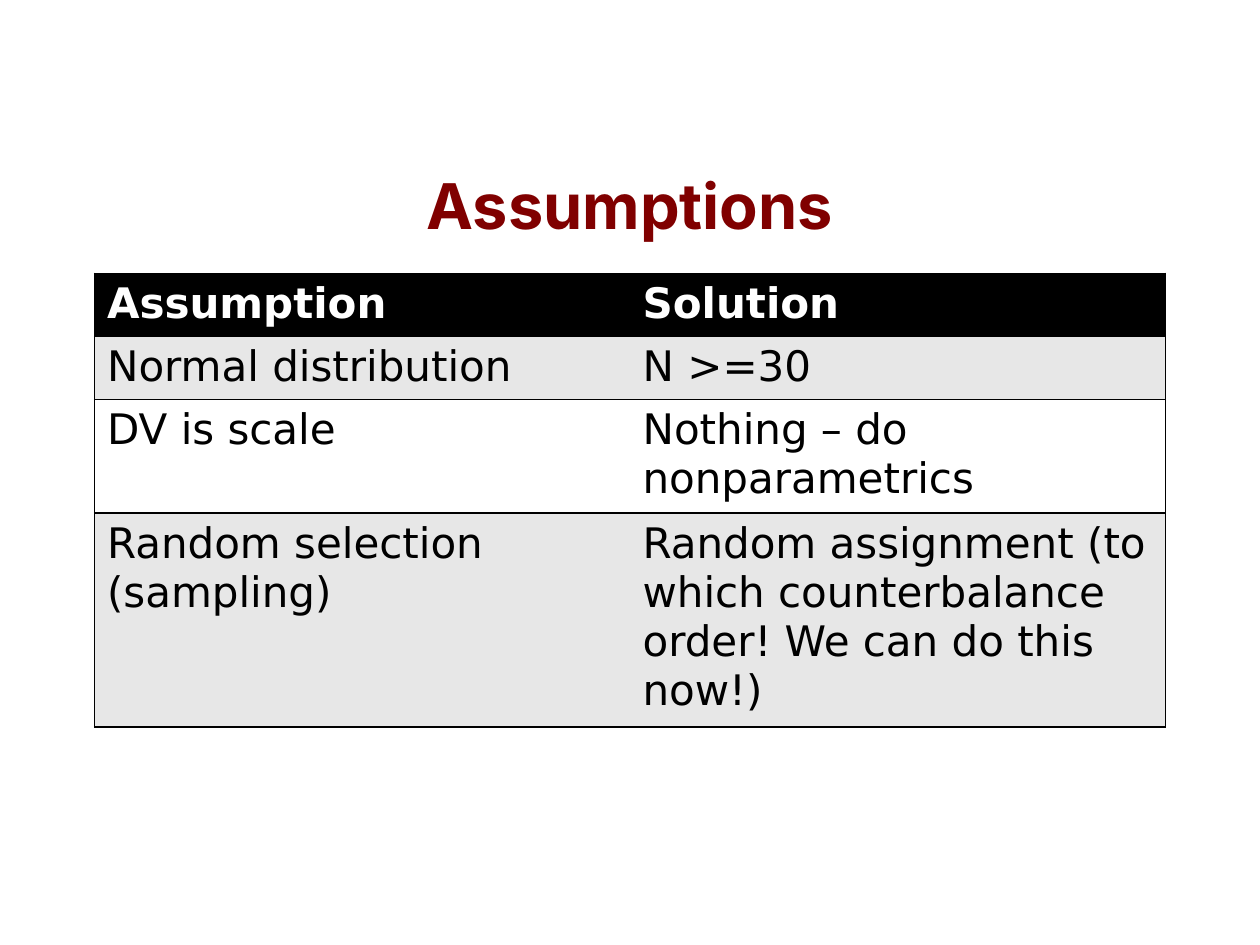
import pptx
import pptx.util
import pptx.dml.color
import pptx.enum.text
import pptx.oxml
import pptx.oxml.ns
from lxml import etree

Inches, Pt = pptx.util.Inches, pptx.util.Pt

# Content
TITLE = "Assumptions"
ROWS = [
    ("Assumption", "Solution"),
    ("Normal distribution", "N >=30"),
    ("DV is scale", "Nothing – do nonparametrics"),
    ("Random selection (sampling)",
     "Random assignment (to which counterbalance order! We can do this now!)"),
]

# Formats
COLORS = {"title": "800000", "black": "000000", "white": "FFFFFF", "band": "E7E7E7"}
TITLE_FONT = {"name": "Inter", "size": Pt(36), "bold": True}
HEAD_FONT = {"name": "DejaVu Sans", "size": Pt(24), "bold": True}
BODY_FONT = {**HEAD_FONT, "bold": False}
LEFT, WIDTH, ROW_HEIGHT = 0.75, 8.5, 0.41


def rgb(color):
    return pptx.dml.color.RGBColor.from_string(COLORS[color])


def write(frame, text, font, color):
    span = frame.paragraphs[0].add_run()
    span.text = text
    for name, value in font.items():
        setattr(span.font, name, value)
    span.font.color.rgb = rgb(color)


def add_borders(cell, sides):
    """Draw the given sides in black and leave the others open."""
    properties = cell._tc.get_or_add_tcPr()
    for index, side in enumerate("LRTB"):
        line = etree.Element(pptx.oxml.ns.qn("a:ln" + side), w=str(Pt(1)))
        if side in sides:
            fill = etree.SubElement(line, pptx.oxml.ns.qn("a:solidFill"))
            etree.SubElement(fill, pptx.oxml.ns.qn("a:srgbClr"), val=COLORS["black"])
        else:
            etree.SubElement(line, pptx.oxml.ns.qn("a:noFill"))
        properties.insert(index, line)


deck = pptx.Presentation()
deck.slide_width, deck.slide_height = Inches(10), Inches(7.5)
page = deck.slides.add_slide(deck.slide_layouts[6])

# Title
box = page.shapes.add_textbox(Inches(LEFT), Inches(1.33), Inches(WIDTH), Inches(0.58))
frame = box.text_frame
frame.word_wrap = True
frame.vertical_anchor = pptx.enum.text.MSO_ANCHOR.MIDDLE
frame.paragraphs[0].alignment = pptx.enum.text.PP_ALIGN.CENTER
write(frame, TITLE, TITLE_FONT, "title")

# Table: black header, then alternating bands
table = page.shapes.add_table(
    len(ROWS), 2, Inches(LEFT), Inches(2.17), Inches(WIDTH),
    Inches(ROW_HEIGHT * len(ROWS))).table
for row, texts in enumerate(ROWS):
    table.rows[row].height = Inches(ROW_HEIGHT)
    background = "black" if row == 0 else ("band" if row % 2 else "white")
    for column, text in enumerate(texts):
        cell = table.cell(row, column)
        cell.fill.solid()
        cell.fill.fore_color.rgb = rgb(background)
        add_borders(cell, "TB" + "LR"[column])
        write(cell.text_frame, text, BODY_FONT if row else HEAD_FONT,
              "black" if row else "white")

deck.save("out.pptx")
